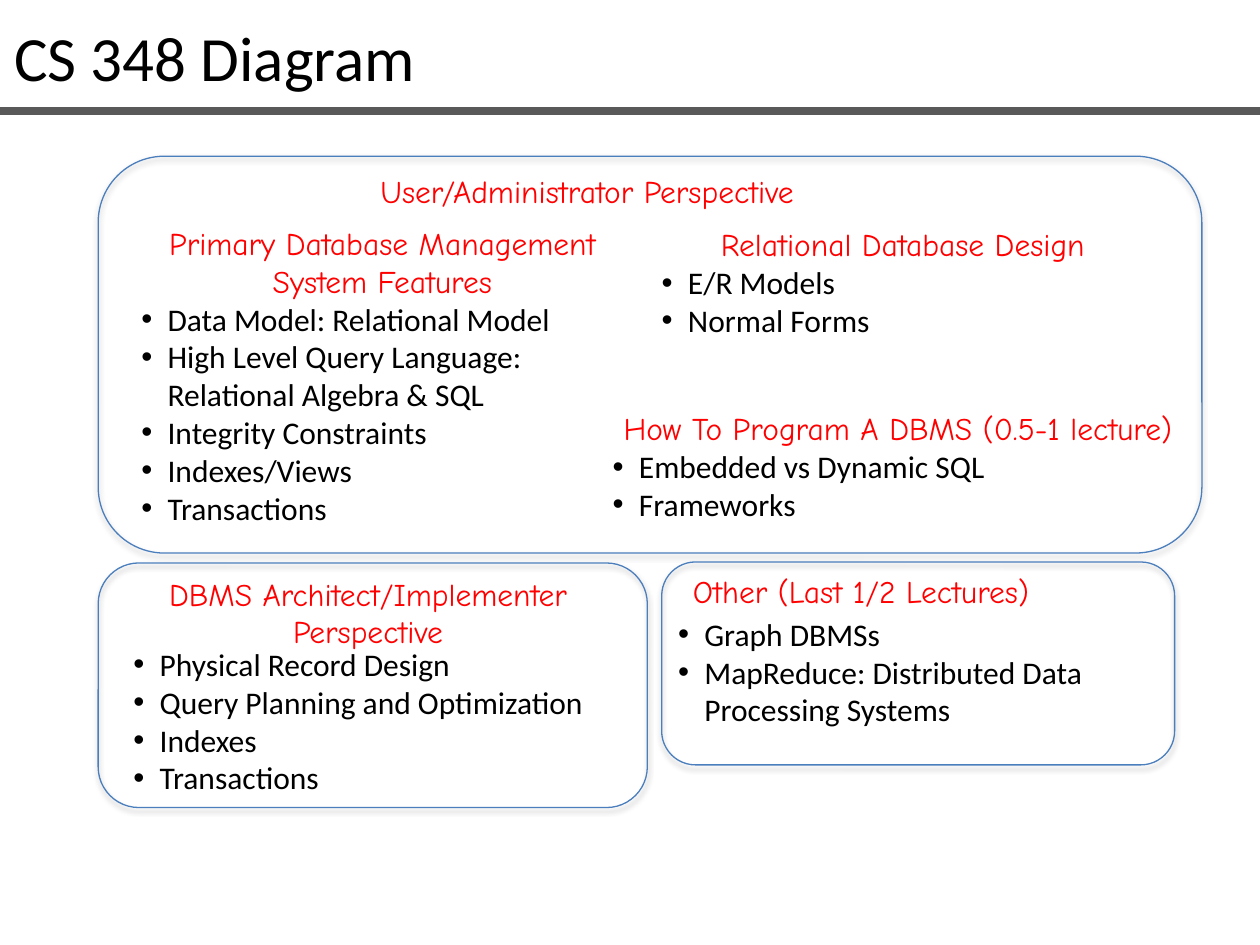
from dataclasses import dataclass

from lxml import etree
from pptx import Presentation
from pptx.dml.color import RGBColor
from pptx.enum.shapes import MSO_CONNECTOR, MSO_SHAPE
from pptx.enum.text import MSO_ANCHOR, MSO_AUTO_SIZE, PP_ALIGN
from pptx.oxml import parse_xml
from pptx.oxml.ns import nsdecls, qn
from pptx.slide import Slide
from pptx.text.text import TextFrame, _Paragraph
from pptx.util import Cm, Pt

ROUNDED = MSO_SHAPE.ROUNDED_RECTANGLE
STRAIGHT = MSO_CONNECTOR.STRAIGHT
LEFT, CENTER = PP_ALIGN.LEFT, PP_ALIGN.CENTER
TOP = MSO_ANCHOR.TOP
FIT_SHAPE = MSO_AUTO_SIZE.SHAPE_TO_FIT_TEXT

BLACK = RGBColor(0x00, 0x00, 0x00)
RED = RGBColor(0xFF, 0x00, 0x00)
PANEL_BLUE = RGBColor(0x4B, 0x7E, 0xBC)
RULE_GRAY = RGBColor(0x59, 0x59, 0x59)

BODY_FONT, HEADING_FONT = "Calibri", "Comic Neue"
TEXT_SIZE, TITLE_SIZE = 18, 36

PANEL_SHADOW = (
    f'<a:effectLst {nsdecls("a")}>'
    f'<a:outerShdw blurRad="{Pt(3.1)}" dist="{Pt(1.8)}" dir="5400000" rotWithShape="0">'
    '<a:srgbClr val="000000"><a:alpha val="35000"/></a:srgbClr>'
    "</a:outerShdw></a:effectLst>"
)


@dataclass(frozen=True)
class Box:
    """Position and size in centimetres."""
    left: float
    top: float
    width: float
    height: float

    def lengths(self) -> tuple[Cm, Cm, Cm, Cm]:
        return Cm(self.left), Cm(self.top), Cm(self.width), Cm(self.height)


@dataclass(frozen=True)
class Topic:
    """A red heading, a bulleted list, or both in one text box."""
    box: Box
    heading: str = ""
    items: tuple[str, ...] = ()
    align: PP_ALIGN = CENTER
    heading_indent: float = 0


PANELS = (
    Box(1.98, 3.15, 22.25, 8),
    Box(1.98, 11.35, 11.07, 4.93),
    Box(13.34, 11.33, 10.34, 4.09),
)

TOPICS = (
    # User and administrator panel
    Topic(Box(4.14, 3.35, 15.39, 1.02), "User/Administrator Perspective"),
    Topic(
        Box(2.34, 4.39, 10.49, 6.4),
        "Primary Database Management System Features",
        (
            "Data Model: Relational Model",
            "High Level Query Language: Relational Algebra & SQL",
            "Integrity Constraints",
            "Indexes/Views",
            "Transactions",
        ),
        heading_indent=0.25,
    ),
    Topic(
        Box(12.83, 4.42, 10.49, 2.57),
        "Relational Database Design",
        ("E/R Models", "Normal Forms"),
        heading_indent=0.25,
    ),
    Topic(
        Box(11.84, 8.13, 12.27, 2.57),
        "How To Program A DBMS (0.5-1 lecture)",
        ("Embedded vs Dynamic SQL", "Frameworks"),
        heading_indent=0.25,
    ),
    # Architect and implementer panel
    Topic(Box(2.49, 11.46, 9.86, 1.8), "DBMS Architect/Implementer Perspective"),
    Topic(
        Box(2.18, 12.88, 10.87, 3.33),
        items=(
            "Physical Record Design",
            "Query Planning and Optimization",
            "Indexes",
            "Transactions",
        ),
    ),
    # Other topics panel
    Topic(Box(13.72, 11.4, 8.74, 1.02), "Other (Last 1/2 Lectures)", align=LEFT),
    Topic(
        Box(13.16, 12.27, 10.21, 2.57),
        items=("Graph DBMSs", "MapReduce: Distributed Data Processing Systems"),
    ),
)


def write(paragraph: _Paragraph, text: str, font: str, size: float,
          color: RGBColor, align: PP_ALIGN = LEFT) -> None:
    paragraph.text = text
    paragraph.alignment = align
    for run in paragraph.runs:
        run.font.name = font
        run.font.size = Pt(size)
        run.font.color.rgb = color


def set_indent(paragraph: _Paragraph, margin: float, first_line: float = 0) -> None:
    properties = paragraph._p.get_or_add_pPr()
    properties.set("marL", str(Cm(margin)))
    properties.set("indent", str(Cm(first_line)))


def add_bullet(paragraph: _Paragraph) -> None:
    set_indent(paragraph, 0.79, -0.53)
    properties = paragraph._p.get_or_add_pPr()
    etree.SubElement(properties, qn("a:buFont")).set("typeface", "Arial")
    etree.SubElement(properties, qn("a:buChar")).set("char", "•")


def fit_frame(frame: TextFrame) -> None:
    frame.word_wrap = True
    frame.auto_size = FIT_SHAPE
    frame.vertical_anchor = TOP


def add_panel(slide: Slide, box: Box) -> None:
    panel = slide.shapes.add_shape(ROUNDED, *box.lengths())
    panel.fill.background()
    panel.line.color.rgb = PANEL_BLUE
    panel.line.width = Pt(0.75)
    panel._element.spPr.append(parse_xml(PANEL_SHADOW))


def add_topic(slide: Slide, topic: Topic) -> None:
    frame = slide.shapes.add_textbox(*topic.box.lengths()).text_frame
    fit_frame(frame)
    lines = ((topic.heading,) if topic.heading else ()) + topic.items
    for index, line in enumerate(lines):
        paragraph = frame.add_paragraph() if index else frame.paragraphs[0]
        if topic.heading and index == 0:
            set_indent(paragraph, topic.heading_indent)
            write(paragraph, line, HEADING_FONT, TEXT_SIZE, RED, topic.align)
        else:
            add_bullet(paragraph)
            write(paragraph, line, BODY_FONT, TEXT_SIZE, BLACK)


def add_title(slide: Slide, text: str, box: Box) -> None:
    title = slide.shapes.title
    title.left, title.top, title.width, title.height = box.lengths()
    fit_frame(title.text_frame)
    write(title.text_frame.paragraphs[0], text, BODY_FONT, TITLE_SIZE, BLACK)


def add_title_rule(slide: Slide, top: float, width: float) -> None:
    rule = slide.shapes.add_connector(STRAIGHT, Cm(0), Cm(top), Cm(width), Cm(top))
    rule.line.color.rgb = RULE_GRAY
    rule.line.width = Pt(4.5)
    etree.SubElement(rule._element.spPr, qn("a:effectLst"))


def main() -> None:
    deck = Presentation()
    deck.slide_width, deck.slide_height = Cm(25.4), Cm(19.05)
    slide = deck.slides.add_slide(deck.slide_layouts.get_by_name("Title Only"))

    # Title band
    add_title(slide, "CS 348 Diagram", Box(0.03, 0.25, 21.89, 1.8))
    add_title_rule(slide, 2.24, 25.4)

    # Panels and the topics on them
    for box in PANELS:
        add_panel(slide, box)
    for topic in TOPICS:
        add_topic(slide, topic)

    deck.save("out.pptx")


if __name__ == "__main__":
    main()
